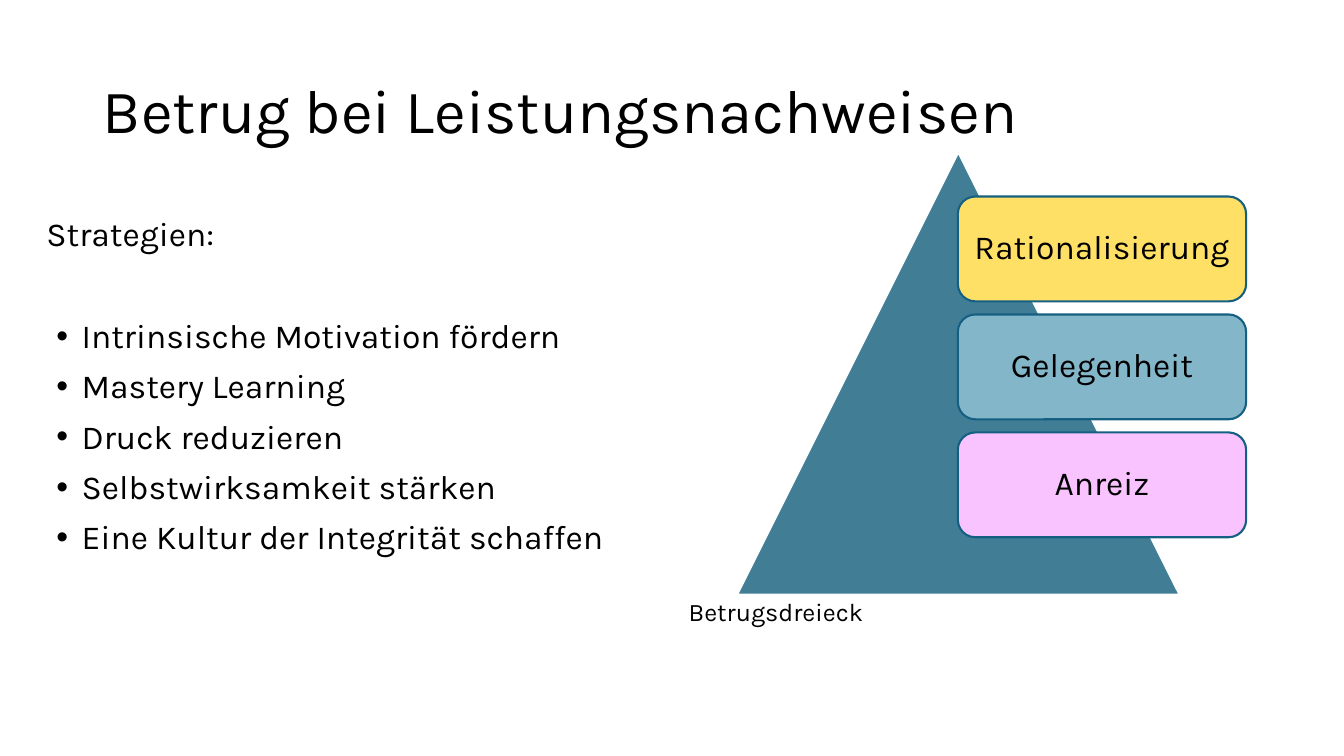
from pptx import Presentation
from pptx.dml.color import RGBColor
from pptx.enum.shapes import MSO_SHAPE
from pptx.enum.text import MSO_ANCHOR, MSO_AUTO_SIZE, PP_ALIGN
from pptx.oxml import parse_xml
from pptx.oxml.ns import nsdecls
from pptx.util import Inches, Pt

BLACK = RGBColor(0x00, 0x00, 0x00)
WHITE = RGBColor(0xFF, 0xFF, 0xFF)
TEAL = RGBColor(0x41, 0x7D, 0x95)
OUTLINE = RGBColor(0x15, 0x60, 0x82)
YELLOW = RGBColor(0xFF, 0xE0, 0x66)
BLUE = RGBColor(0x83, 0xB6, 0xC9)
PINK = RGBColor(0xF8, 0xC3, 0xFF)

STRATEGIES = [
    "Intrinsische Motivation fördern",
    "Mastery Learning",
    "Druck reduzieren",
    "Selbstwirksamkeit stärken",
    "Eine Kultur der Integrität schaffen",
]
FACTORS = [("Rationalisierung", YELLOW), ("Gelegenheit", BLUE), ("Anreiz", PINK)]
FACTOR_TOP, FACTOR_STEP = 1.95, 1.17


class SlideBuilder:
    font = "Karla"
    line_width = Pt(1.5)

    def __init__(self, slide):
        self.slide = slide

    def set_text(self, sp, lines, size, anchor=MSO_ANCHOR.TOP, align=PP_ALIGN.LEFT,
                 inset=0.1, bullets=False):
        tf = sp.text_frame
        tf.text = "\n".join(lines)
        tf.word_wrap = True
        tf.auto_size = MSO_AUTO_SIZE.NONE
        tf.vertical_anchor = anchor
        tf.margin_left = tf.margin_right = Inches(inset)
        tf.margin_top = tf.margin_bottom = Inches(0.05)
        for i, p in enumerate(tf.paragraphs):
            p.alignment = align
            p.line_spacing = 0.9
            p.space_before = Pt(10 if i else 0)
            if bullets:
                self.add_bullet(p)
            for r in p.runs:
                r.font.name = self.font
                r.font.size = Pt(size)
                r.font.bold = False
                r.font.color.rgb = BLACK

    def add_bullet(self, p):
        pPr = p._p.get_or_add_pPr()
        pPr.set("marL", str(Inches(0.25)))
        pPr.set("indent", str(-Inches(0.25)))
        pPr.append(parse_xml(f'<a:buFont {nsdecls("a")} typeface="Arial"/>'))
        pPr.append(parse_xml(f'<a:buChar {nsdecls("a")} char="•"/>'))

    def placeholder(self, idx, box, lines, size, **style):
        sp = self.slide.placeholders[idx]
        sp.left, sp.top, sp.width, sp.height = map(Inches, box)
        self.set_text(sp, lines, size, **style)

    def shape(self, kind, box, fill, line):
        sp = self.slide.shapes.add_shape(kind, *map(Inches, box))
        sp.shadow.inherit = False
        sp.fill.solid()
        sp.fill.fore_color.rgb = fill
        sp.line.color.rgb = line
        sp.line.width = self.line_width
        return sp

    def factor(self, label, top, fill):
        sp = self.shape(MSO_SHAPE.ROUNDED_RECTANGLE, (9.5, top, 2.86, 1.04), fill, OUTLINE)
        self.set_text(sp, [label], 24, anchor=MSO_ANCHOR.MIDDLE, align=PP_ALIGN.CENTER,
                      inset=0.05)

    def remove_empty_placeholders(self):
        for sp in list(self.slide.placeholders):
            if not sp.text_frame.text:
                sp.element.getparent().remove(sp.element)


def main():
    prs = Presentation()
    prs.slide_width, prs.slide_height = Inches(13.33), Inches(7.5)
    comparison = prs.slide_layouts.get_by_name("Comparison")
    s = SlideBuilder(prs.slides.add_slide(comparison))

    s.placeholder(0, (0.92, 0.4, 11.5, 1.45), ["Betrug bei Leistungsnachweisen"], 44,
                  anchor=MSO_ANCHOR.MIDDLE)
    s.placeholder(1, (0.46, 2.11, 6.02, 0.79), ["Strategien:"], 24, inset=0)
    s.placeholder(2, (0.46, 3.12, 6.02, 4.38), STRATEGIES, 24, bullets=True)
    s.placeholder(3, (6.83, 5.9, 6.02, 0.79), ["Betrugsdreieck"], 18, inset=0)
    s.remove_empty_placeholders()

    s.shape(MSO_SHAPE.ISOSCELES_TRIANGLE, (7.31, 1.51, 4.39, 4.39), TEAL, WHITE)
    for i, (label, fill) in enumerate(FACTORS):
        s.factor(label, FACTOR_TOP + i * FACTOR_STEP, fill)

    prs.save("out.pptx")


if __name__ == "__main__":
    main()
